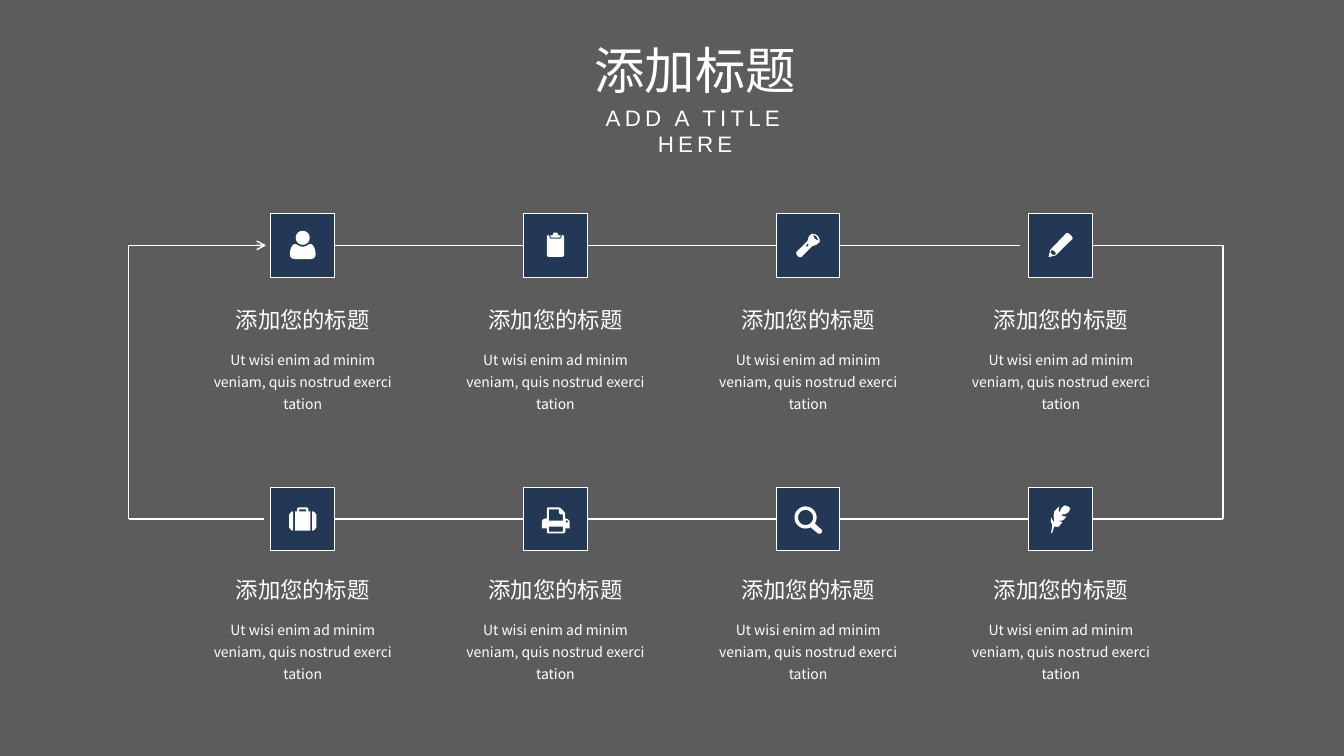
from math import cos, radians, sin

from lxml import etree
from pptx import Presentation
from pptx.dml.color import RGBColor
from pptx.enum import shapes, text
from pptx.oxml import ns
from pptx.util import Pt

COLORS = {"background": "5D5C5C", "tile": "223855", "white": "FFFFFF"}
CJK, LATIN = "Noto Sans CJK SC", "Arial"


# Outline helpers, in points from a tile's centre
def arc(x, y, radius, start=0, end=360):
    return [(x + radius * cos(radians(a)), y + radius * sin(radians(a)))
            for a in range(start, end + 1, 10)]


def box(left, top, right, bottom):
    return [(left, top), (right, top), (right, bottom), (left, bottom)]


def mirror(outline):
    return [(-x, y) for x, y in outline]


# Content
TITLE, SUBTITLE = "添加标题", "ADD A TITLE HERE"
HEADING = "添加您的标题"
DETAIL = "Ut wisi enim ad minim veniam, quis nostrud exerci tation"

shoulder = [(0, 1), (2, 0.6), (4, -0.5), (5.5, -1.1), (7, -0.4), (8.2, 1.3), (9, 4),
            (9.2, 6.5), (8.8, 8.3), (7.5, 9.4), (5.5, 9.8)]
person = [arc(0, -5.4, 5), shoulder + mirror(shoulder)[::-1]]

board = [(3.6, -4.7), (5, -7.6), (6.2, -6.5), (6.2, 7.5), (5, 8.3)]
clip = [(2.9, -5.5), (4, -7), (2.2, -7), (1.3, -9)]
clipboard = [board + mirror(board)[::-1], clip + mirror(clip)[::-1]]

flashlight = [
    [(6.8, -6.8), (4.8, -8.1), (2.5, -8.3), (0.4, -6.1), (-0.4, -3.2), (-8.3, 4.7),
     (-8.5, 6), (-7.6, 7.6), (-6, 8.5), (-4.7, 8.3), (2.9, 0.6), (5.8, -0.4),
     (8.3, -2.5), (8.1, -4.8)],
    [(3.4, -8), (6, -6.3), (7.6, -3.2), (4.7, -4.7)],
    [(-1.6, 1), (-1, -0.8), (0.4, -1), (0, 0.6)],
]
pencil = [
    [(6.9, -7.4), (5.4, -8.6), (4, -8.8), (-7.5, 3.2), (-8.8, 8.5), (-3.8, 7.3),
     (8.4, -4.7), (8.2, -6)],
    [(-3.9, 6.7), (-6, 6.9), (-6.6, 6), (-7.4, 5.3), (-6.8, 3.3), (-4.7, 4),
     (-3.3, 6)],
]

case_end = [(6.8, -5.4), (8.2, -5.2), (9.7, -3.2), (9.7, 6.1), (8.2, 8), (6.8, 8.3)]
case_body = [(4, -5.4), (5.4, -5.4), (5.4, 8.3)]
case_handle = [(3.2, -8.3), (4, -7.5)]
suitcase = [
    case_end, mirror(case_end),
    case_handle + case_body + mirror(case_handle + case_body)[::-1],
    box(-2.5, -6.8, 2.5, -5.4),
]
printer = [
    [(-9.7, 1.8), (-9, 0.4), (-7, -0.4), (-6.1, -0.4), (-6.1, -7.5), (-5.4, -8.3),
     (2.5, -8.3), (4, -7.6), (6, -5.5), (7, -4), (7, -0.4), (9, 0.2), (10.2, 1.6),
     (10.2, 6.8), (7.2, 6.8), (7.2, 9.4), (6, 10.3), (-5.4, 10.3), (-6.1, 9.4),
     (-6.1, 6.8), (-9.7, 6.8)],
    [(5.4, 1.1), (-4.7, 1.1), (-4.7, -6.8), (2.5, -6.8), (2.5, -4.3), (3.4, -3.3),
     (5.4, -3.3)],
    box(-4.7, 5.4, 5.4, 9),
    arc(8.2, 1.8, 0.8),
]
magnifier = [
    arc(-1.8, -1.1, 7.9, 63, 393)
    + [(9.7, 7.6), (10.1, 8.7), (9.4, 10), (8.3, 10.6), (6.9, 10.2)],
    arc(-1.8, -1.1, 5.4),
]
feather = [
    [(-6.1, 9.7), (-4.7, 5.4), (-1.8, 5.6), (1.1, 2.5), (-1.8, 1.1), (0.5, 1.3),
     (2.5, 0.2), (4, -1.8), (1.5, -2), (0.4, -3.2), (3, -3.4), (5.4, -4.7),
     (6.8, -7.6), (5.2, -9), (2.5, -9.7), (0.6, -8), (-1, -4.7), (-1.6, -6),
     (-1.1, -9), (-4.7, -5.4), (-5.1, -2), (-4.6, 2.5), (-5.8, 1), (-6.8, -1.1),
     (-7.2, 1.5), (-6.1, 4.7), (-6.9, 9.7), (-6.5, 10.3)],
]
ICON_ROWS = [[person, clipboard, flashlight, pencil],
             [suitcase, printer, magnifier, feather]]

# Layout
TILE, FIRST_LEFT, COLUMN_STEP = 45.5, 193.5, 180.5
TILE_TOPS, HEADING_TOPS, DETAIL_TOPS = (152.5, 348), (211, 404), (244, 437)
LOOP_LEFT, LOOP_RIGHT = 92, 873.5
TITLE_CENTER = 496.5

deck = Presentation()
deck.slide_width, deck.slide_height = Pt(960), Pt(540)
slide = deck.slides.add_slide(deck.slide_layouts[5])
slide.background.fill.solid()
slide.background.fill.fore_color.rgb = RGBColor.from_string(COLORS["background"])


def paint(shape, color):
    shape.shadow.inherit = False
    shape.fill.solid()
    shape.fill.fore_color.rgb = RGBColor.from_string(COLORS[color])


def write(shape, words, size, font=CJK, wrap=True, spacing=1.0, tracking=None):
    frame = shape.text_frame
    frame.text = words
    frame.word_wrap = wrap
    frame.auto_size = text.MSO_AUTO_SIZE.NONE
    frame.vertical_anchor = text.MSO_ANCHOR.TOP
    paragraph = frame.paragraphs[0]
    paragraph.alignment = text.PP_ALIGN.CENTER
    paragraph.line_spacing = spacing
    run = paragraph.runs[0]
    run.font.size = Pt(size)
    run.font.color.rgb = RGBColor.from_string(COLORS["white"])
    run.font.name = font
    properties = run.font._element
    etree.SubElement(properties, ns.qn("a:ea")).set("typeface", font)
    if tracking:
        properties.set("spc", str(tracking * 100))


def add_words(center, top, width, height, *content, **style):
    holder = slide.shapes.add_textbox(Pt(center - width / 2), Pt(top), Pt(width), Pt(height))
    write(holder, *content, **style)


def draw_icon(center_x, center_y, outlines):
    placed = [[(Pt(center_x + x), Pt(center_y + y)) for x, y in outline]
              for outline in outlines]
    builder = slide.shapes.build_freeform(*placed[0][0])
    builder.add_line_segments(placed[0][1:], close=True)
    for outline in placed[1:]:
        builder.move_to(*outline[0])
        builder.add_line_segments(outline[1:], close=True)
    icon = builder.convert_to_shape()
    paint(icon, "white")
    icon.line.fill.background()


def link(start, end, begin=None, finish=None, arrow=False):
    connector = slide.shapes.add_connector(
        shapes.MSO_CONNECTOR.STRAIGHT, *(Pt(value) for value in start + end))
    if begin:
        connector.begin_connect(*begin)
    if finish:
        connector.end_connect(*finish)
    connector.line.width = Pt(1)
    connector.line.color.rgb = RGBColor.from_string(COLORS["white"])
    if arrow:
        etree.SubElement(connector.line._get_or_add_ln(), ns.qn("a:tailEnd")).set("type", "arrow")
    etree.SubElement(connector._element.spPr, ns.qn("a:effectLst"))


# Title
title = slide.shapes.title
title.left, title.top, title.width, title.height = Pt(416.5), Pt(24.5), Pt(160), Pt(51)
write(title, TITLE, 36, wrap=False)
add_words(TITLE_CENTER, 70.5, 190, 26.5, SUBTITLE, 16, font=LATIN, tracking=3)

# Tiles with icons and captions
tiles = []
for icons, tile_top, heading_top, detail_top in zip(ICON_ROWS, TILE_TOPS, HEADING_TOPS, DETAIL_TOPS):
    row = []
    for column, outlines in enumerate(icons):
        left = FIRST_LEFT + column * COLUMN_STEP
        center = left + TILE / 2
        tile = slide.shapes.add_shape(
            shapes.MSO_SHAPE.RECTANGLE, Pt(left), Pt(tile_top), Pt(TILE), Pt(TILE))
        paint(tile, "tile")
        tile.line.color.rgb = RGBColor.from_string(COLORS["white"])
        tile.line.width = Pt(0.75)
        row.append(tile)
        draw_icon(center, tile_top + TILE / 2, outlines)
        add_words(center, heading_top, 111.5, 29, HEADING, 16, wrap=False, spacing=1.2)
        add_words(center, detail_top, 152.5, 37.5, DETAIL, 10, spacing=1.3)
    tiles.append(row)

# Loop: right along the top row, back along the bottom row
top_y, bottom_y = (top + TILE / 2 for top in TILE_TOPS)
upper, lower = tiles
here = (0, 0)
for column in range(3):
    if column < 2:
        link(here, here, (upper[column], 3), (upper[column + 1], 1))
    link(here, here, (lower[column + 1], 1), (lower[column], 3))
link(here, (728.5, top_y), (upper[2], 3))
link(here, (LOOP_RIGHT, top_y), (upper[3], 3))
link((LOOP_RIGHT, top_y), (LOOP_RIGHT, bottom_y))
link((LOOP_RIGHT, bottom_y), here, finish=(lower[3], 3))
link((188.5, bottom_y), (LOOP_LEFT, bottom_y))
link((LOOP_LEFT, bottom_y), (LOOP_LEFT, top_y))
link((LOOP_LEFT, top_y), (190, top_y), arrow=True)

deck.save("out.pptx")
